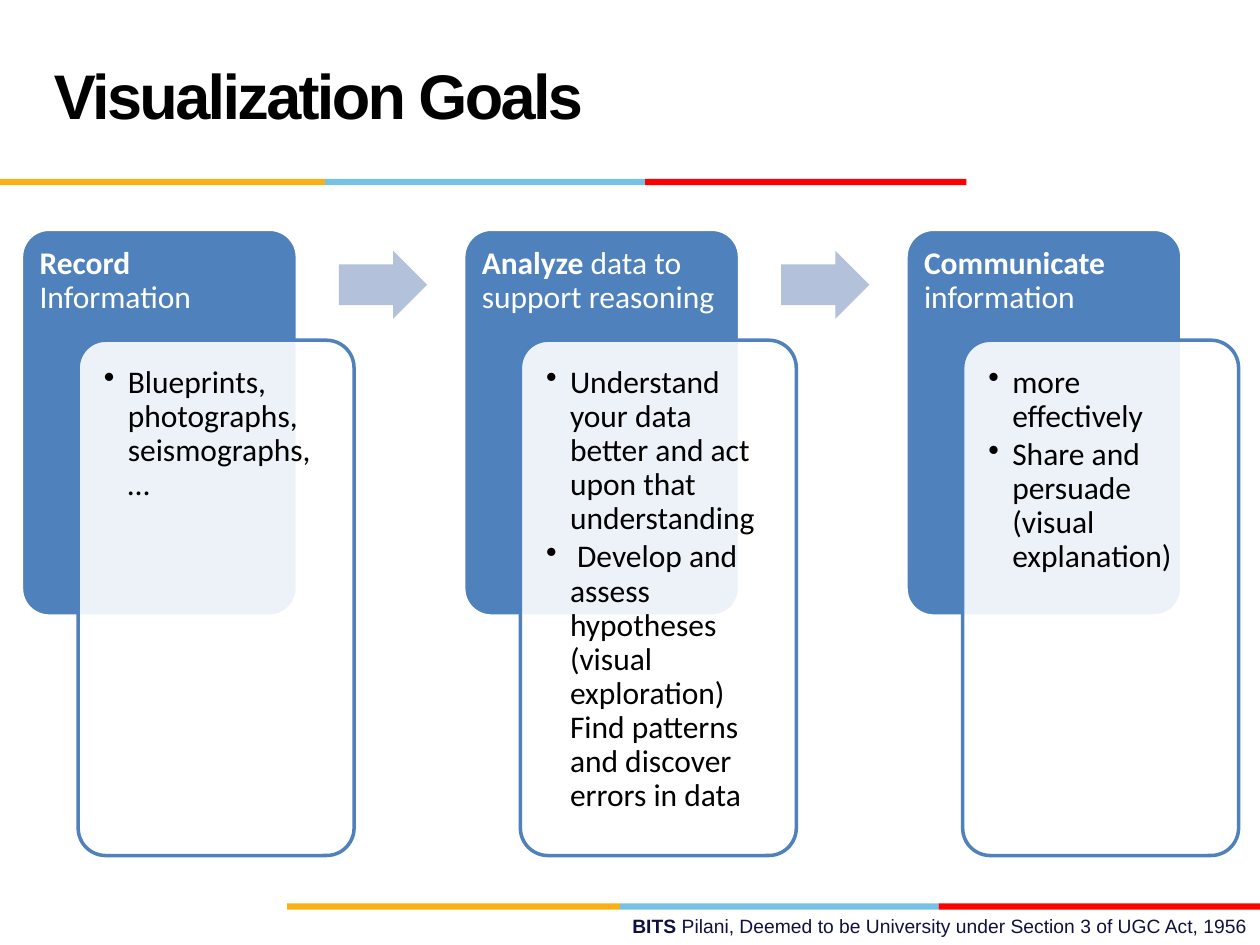
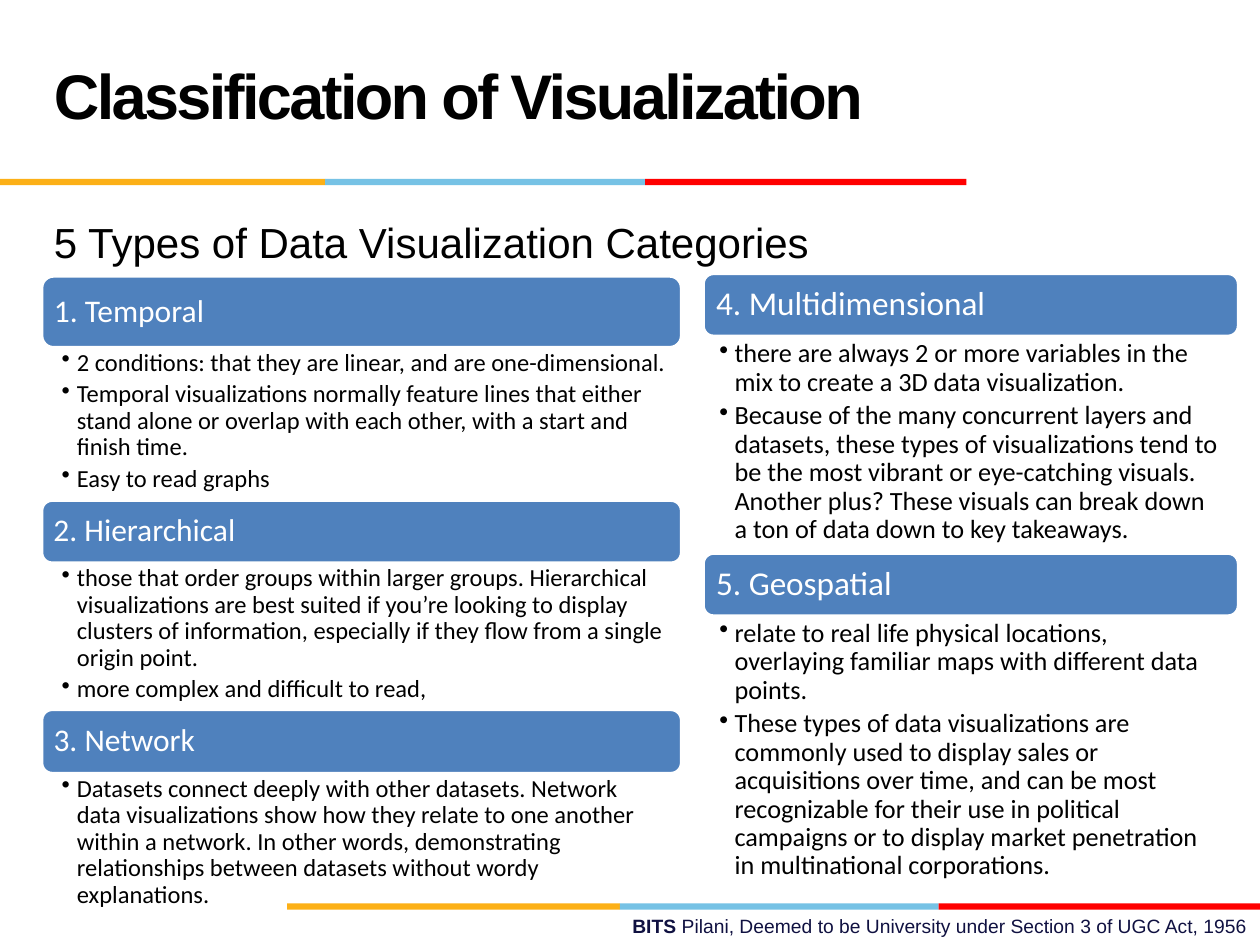
import pptx
import pptx.dml.color
import pptx.enum.shapes
import pptx.enum.text
import pptx.oxml.ns
import pptx.util
from lxml import etree

W, H = 10, 7.5
BLUE, WHITE, BLACK, ARROW, NAVY = "4F81BD", "FFFFFF", "000000", "B3C1DB", "101141"
STRIPES = ("FCB017", "76C2E5", "FF0000")
TOP_EDGES = (0, 2.58, 5.12, 7.67)
BOTTOM_EDGES = (2.28, 4.92, 7.45, W)
FOOTER = [("BITS ", True),
          ("Pilani, Deemed to be University under Section 3 of UGC Act, 1956", False)]

GOALS = [
    ("Record", " Information", ["Blueprints, photographs, seismographs, …"]),
    ("Analyze", " data to support reasoning", [
        "Understand your data better and act upon that understanding",
        " Develop and assess hypotheses (visual exploration) Find patterns and discover errors in data"]),
    ("Communicate", " information", [
        "more effectively",
        "Share and persuade (visual explanation)"]),
]

SUBTITLE = "5 Types of Data Visualization Categories"
COLUMNS = [
    dict(left=0.33, top=2.19, width=5.08, head=18, size=14, pad=0.07,
         ins=(0.16, 0.02, 0.11, 0.02), types=[
             ("1. Temporal", 0.57, 1.21, [
                 "2 conditions: that they are linear, and are one-dimensional.",
                 "Temporal visualizations normally feature lines that either stand alone or overlap "
                 "with each other, with a start and finish time.",
                 "Easy to read graphs"]),
             ("2. Hierarchical", 0.5, 1.16, [
                 "those that order groups within larger groups. Hierarchical visualizations are best "
                 "suited if you’re looking to display clusters of information, especially if they "
                 "flow from a single origin point.",
                 "more complex and difficult to read,"]),
             ("3. Network", 0.51, 0.92, [
                 "Datasets connect deeply with other datasets. Network data visualizations show how "
                 "they relate to one another within a network. In other words, demonstrating "
                 "relationships between datasets without wordy explanations."]),
         ]),
    dict(left=5.58, top=2.17, width=4.25, head=19, size=15, pad=0.08,
         ins=(0.13, 0.03, 0.15, 0.03), types=[
             ("4. Multidimensional", 0.5, 1.72, [
                 "there are always 2 or more variables in the mix to create a 3D data visualization.",
                 "Because of the many concurrent layers and datasets, these types of visualizations "
                 "tend to be the most vibrant or eye-catching visuals. Another plus? These visuals "
                 "can break down a ton of data down to key takeaways."]),
             ("5. Geospatial", 0.5, 2.19, [
                 "relate to real life physical locations, overlaying familiar maps with different "
                 "data points.",
                 "These types of data visualizations are commonly used to display sales or "
                 "acquisitions over time, and can be most recognizable for their use in political "
                 "campaigns or to display market penetration in multinational corporations."]),
         ]),
]

SHAPE = pptx.enum.shapes.MSO_SHAPE
ANCHOR = pptx.enum.text.MSO_ANCHOR
ALIGN = pptx.enum.text.PP_ALIGN
Inches, Pt = pptx.util.Inches, pptx.util.Pt
qn = pptx.oxml.ns.qn


def rgb(color):
    return pptx.dml.color.RGBColor.from_string(color)


def add_shape(slide, kind, box, fill, line=None, adj=(), alpha=None):
    sp = slide.shapes.add_shape(kind, *map(Inches, box))
    sp.shadow.inherit = False
    sp.fill.solid()
    sp.fill.fore_color.rgb = rgb(fill)
    if alpha:
        clr = sp.fill._xPr.find(".//" + qn("a:srgbClr"))
        etree.SubElement(clr, qn("a:alpha")).set("val", str(alpha * 1000))
    if line:
        sp.line.color.rgb = rgb(line)
        sp.line.width = Pt(2)
    else:
        sp.line.fill.background()
    for i, value in enumerate(adj):
        sp.adjustments[i] = value
    return sp


def add_text(slide, box, *args, **kwargs):
    write(slide.shapes.add_textbox(*map(Inches, box)), *args, **kwargs)


def write(sp, paras, size, color, font="Calibri", ins=(0.1, 0.05, 0.1, 0.05),
          anchor=ANCHOR.TOP, align=ALIGN.LEFT, spacing=0.9, after=0, bullet=0, track=0):
    tf = sp.text_frame
    tf.word_wrap = True
    tf.vertical_anchor = anchor
    tf.margin_left, tf.margin_top, tf.margin_right, tf.margin_bottom = map(Inches, ins)
    for i, runs in enumerate(paras):
        p = tf.add_paragraph() if i else tf.paragraphs[0]
        p.alignment = align
        p.line_spacing = spacing
        p.space_after = Pt(after)
        if bullet:
            pPr = p._p.get_or_add_pPr()
            pPr.set("marL", str(Inches(bullet)))
            pPr.set("indent", str(-Inches(bullet)))
            etree.SubElement(pPr, qn("a:buChar")).set("char", "•")
        for text, bold in [(runs, False)] if isinstance(runs, str) else runs:
            r = p.add_run()
            r.text = text
            r.font.size, r.font.name, r.font.bold = Pt(size), font, bold
            r.font.color.rgb = rgb(color)
            if track:
                r._r.get_or_add_rPr().set("spc", str(int(track * 100)))


def add_stripes(slide, edges, top):
    for color, x0, x1 in zip(STRIPES, edges, edges[1:]):
        add_shape(slide, SHAPE.RECTANGLE, (x0, top, x1 - x0, 0.05), color)


def add_slide(prs, title):
    slide = prs.slides.add_slide(prs.slide_layouts[6])
    add_text(slide, (3.58, 7.21, 6.42, 0.29), [FOOTER], 11, NAVY, "Arial",
             align=ALIGN.RIGHT, spacing=1.0)
    add_stripes(slide, BOTTOM_EDGES, 7.17)
    add_stripes(slide, TOP_EDGES, 1.42)
    add_text(slide, (0.33, 0.17, 7.58, 1.25), [[(title, True)]], 36, BLACK, "Arial",
             anchor=ANCHOR.MIDDLE, spacing=Pt(36), track=-1.5)
    return slide


def add_goals(slide):
    pitch, width, top = 3.51, 2.19, 1.82
    for i, (verb, rest, details) in enumerate(GOALS):
        left = 0.17 + i * pitch
        card = add_shape(slide, SHAPE.ROUNDED_RECTANGLE, (left, top, width, 3.07),
                         BLUE, WHITE, [0.1])
        write(card, [[(verb, True), (rest, False)]], 18, WHITE, ins=(0.08,) * 4)
        panel = add_shape(slide, SHAPE.ROUNDED_RECTANGLE, (left + 0.45, top + 0.88, width, 4.09),
                          WHITE, BLUE, [0.1], alpha=90)
        write(panel, details, 18, BLACK, ins=(0.14,) * 4, after=2.7, bullet=0.19)
        if i < len(GOALS) - 1:
            add_shape(slide, SHAPE.RIGHT_ARROW, (left + 2.52, top + 0.17, 0.7, 0.54),
                      ARROW, adj=(0.6, 0.5))


def add_types(slide):
    add_text(slide, (0.33, 1.67, 9, 0.5), [SUBTITLE], 24, BLACK, "Arial", spacing=1.0)
    for col in COLUMNS:
        left, y, width = col["left"], col["top"], col["width"]
        for name, bar_h, body_h, points in col["types"]:
            bar = add_shape(slide, SHAPE.ROUNDED_RECTANGLE, (left, y, width, bar_h), BLUE, WHITE)
            write(bar, [name], col["head"], WHITE, ins=(col["pad"],) * 4, anchor=ANCHOR.MIDDLE)
            add_text(slide, (left, y + bar_h, width, body_h), points, col["size"], BLACK,
                     ins=col["ins"], after=0.2 * col["size"], bullet=0.12)
            y += bar_h + body_h


def main():
    prs = pptx.Presentation()
    prs.slide_width, prs.slide_height = Inches(W), Inches(H)
    add_goals(add_slide(prs, "Visualization Goals"))
    add_types(add_slide(prs, "Classification of Visualization"))
    prs.save("out.pptx")


if __name__ == "__main__":
    main()
